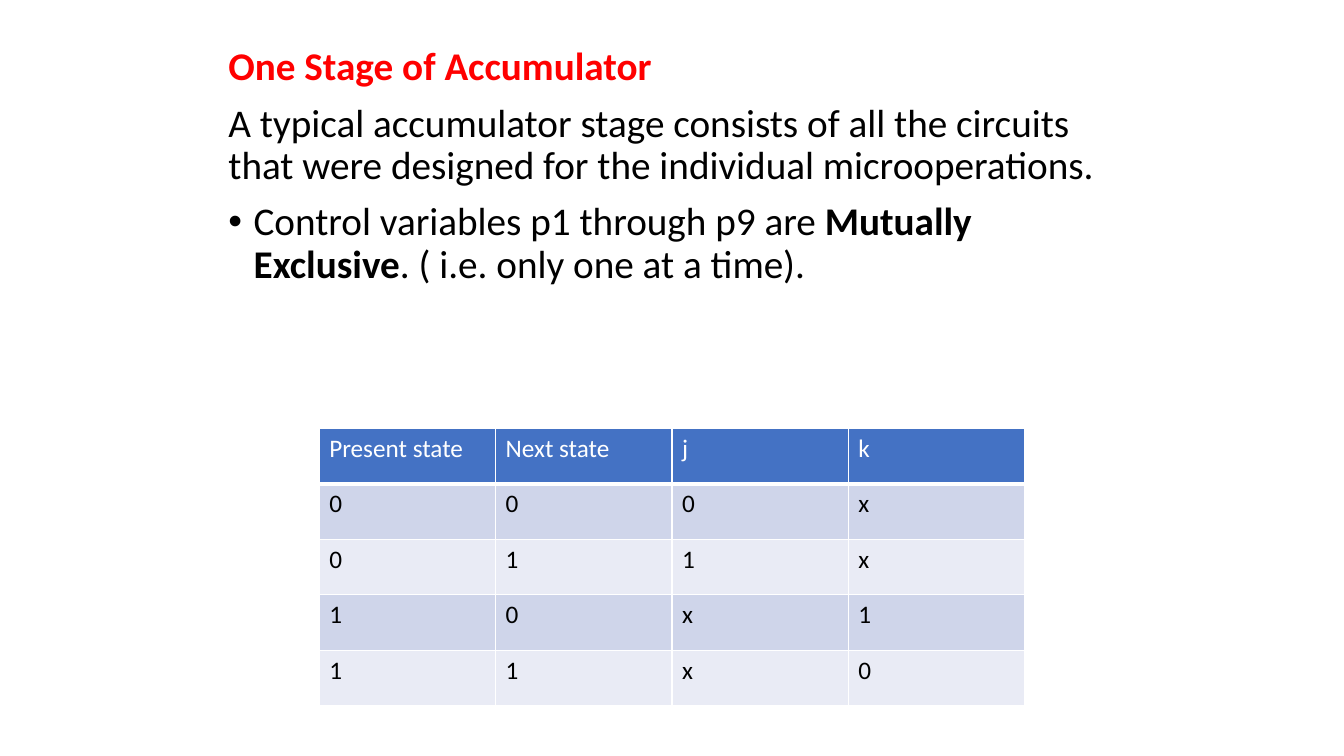
from lxml.etree import SubElement
from pptx import Presentation
from pptx.dml.color import RGBColor
from pptx.enum.text import MSO_AUTO_SIZE as AutoSize
from pptx.oxml.ns import qn
from pptx.util import Pt


def colour(value):
    return RGBColor.from_string(value)


class SlideBuilder:
    """Hold the style and the current page, and add elements in points."""

    font = "Calibri"
    black, white, red = "000000", "FFFFFF", "FF0000"
    header, bands = "4472C4", ("CFD5EA", "E9EBF5")

    def __init__(self, page):
        self.page = page

    def style(self, span, size, value, bold=False):
        span.font.name = self.font
        span.font.size = Pt(size)
        span.font.bold = bold
        span.font.color.rgb = colour(value)

    def place(self, shape, left, top, width, height):
        shape.left, shape.top = Pt(left), Pt(top)
        shape.width, shape.height = Pt(width), Pt(height)

    def body(self, area, paragraphs):
        box = self.page.placeholders[1]
        self.place(box, *area)
        frame = box.text_frame
        frame.word_wrap = True
        frame.auto_size = AutoSize.NONE
        for index, (bullet, spans) in enumerate(paragraphs):
            para = frame.paragraphs[0] if index == 0 else frame.add_paragraph()
            self.bullet(para, bullet)
            para.line_spacing = 0.9
            para.space_before = Pt(10 if index else 0)
            for text, value, bold in spans:
                span = para.add_run()
                span.text = text
                self.style(span, 28, value, bold)

    def bullet(self, para, shown):
        properties = para._p.get_or_add_pPr()
        indent = Pt(18) if shown else 0
        properties.set("marL", str(indent))
        properties.set("indent", str(-indent))
        if shown:
            SubElement(properties, qn("a:buFont"), typeface="Arial")
            SubElement(properties, qn("a:buChar"), char="•")
        else:
            SubElement(properties, qn("a:buNone"))

    def borders(self, cell, bottom):
        properties = cell._tc.get_or_add_tcPr()
        for side, width in (("L", 1), ("R", 1), ("T", 1), ("B", bottom)):
            line = SubElement(properties, qn(f"a:ln{side}"), w=str(Pt(width)))
            fill = SubElement(line, qn("a:solidFill"))
            SubElement(fill, qn("a:srgbClr"), val=self.white)

    def table(self, area, rows):
        frame = self.page.shapes.add_table(len(rows), len(rows[0]), *map(Pt, area))
        for row_index, row in enumerate(rows):
            is_header = row_index == 0
            fill = self.header if is_header else self.bands[(row_index - 1) % 2]
            for column_index, text in enumerate(row):
                cell = frame.table.cell(row_index, column_index)
                self.borders(cell, 3 if is_header else 1)
                cell.fill.solid()
                cell.fill.fore_color.rgb = colour(fill)
                cell.text_frame.text = text
                span = cell.text_frame.paragraphs[0].runs[0]
                self.style(span, 18, self.white if is_header else self.black)


def main():
    deck = Presentation()
    deck.slide_width, deck.slide_height = Pt(960), Pt(540)
    page = deck.slides.add_slide(deck.slide_layouts[1])
    title = page.shapes.title.element
    title.getparent().remove(title)
    builder = SlideBuilder(page)
    black = builder.black
    builder.body((156, 30, 648, 452), [
        (False, [("One Stage of Accumulator", builder.red, True)]),
        (False, [("A typical accumulator stage consists of all the circuits that "
                  "were designed for the individual microoperations.", black, False)]),
        (True, [("Control variables p1 through p9 are ", black, False),
                ("Mutually Exclusive", black, True),
                (". ( i.e. only one at a time).", black, False)]),
    ])
    builder.table((228, 306, 504, 198), [
        ("Present state", "Next state", "j", "k"),
        ("0", "0", "0", "x"),
        ("0", "1", "1", "x"),
        ("1", "0", "x", "1"),
        ("1", "1", "x", "0"),
    ])
    deck.save("out.pptx")


if __name__ == "__main__":
    main()
